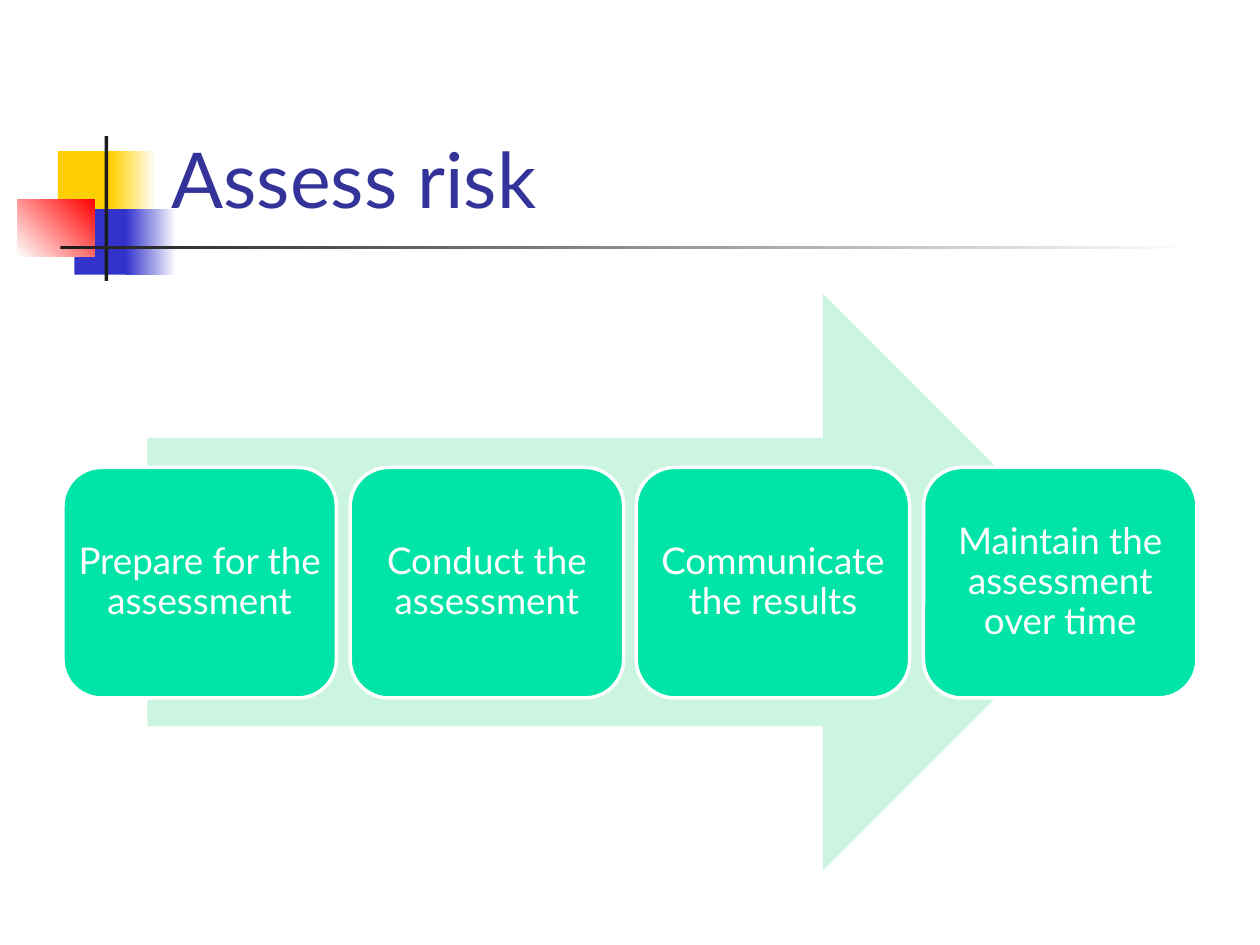
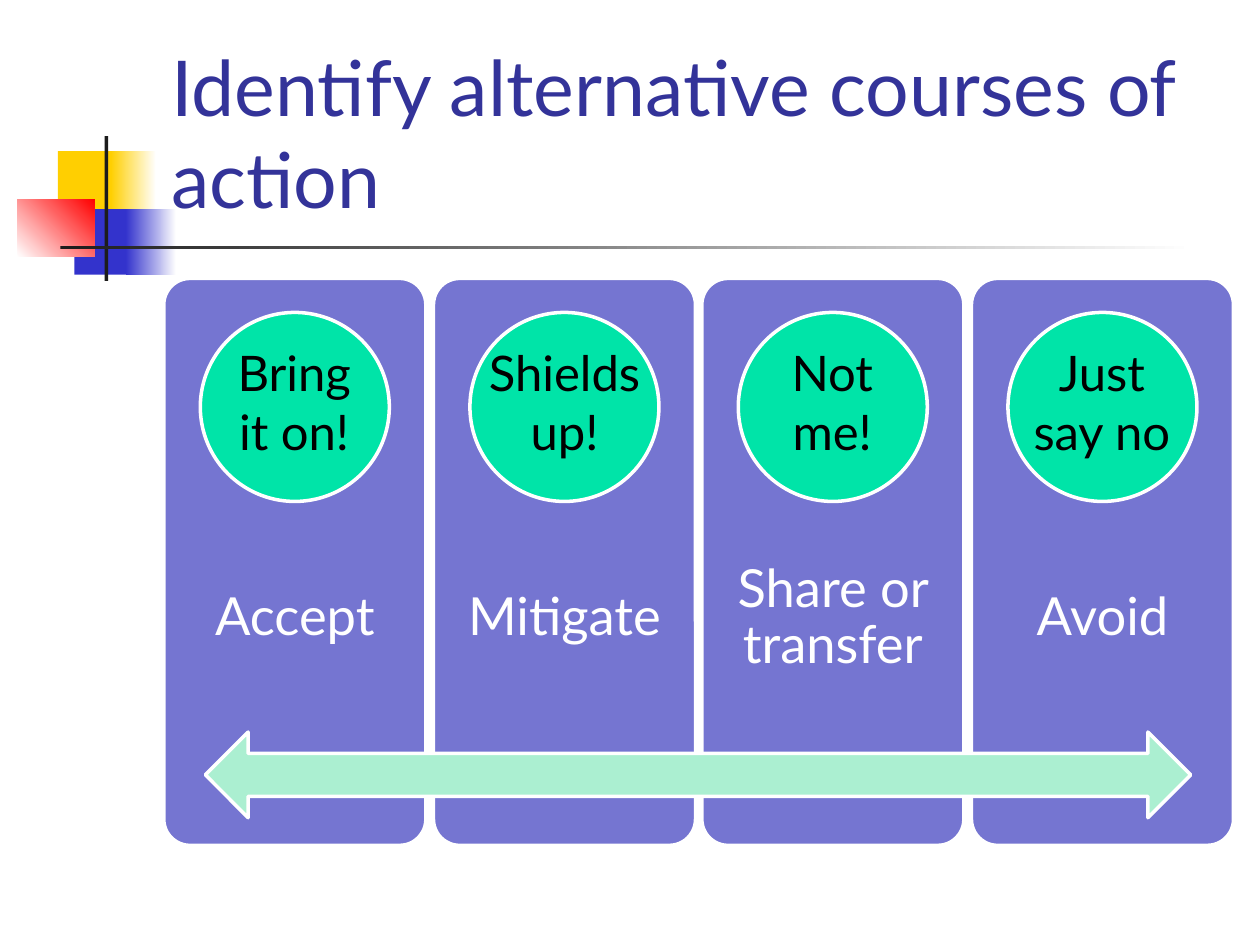
from pptx import Presentation
from pptx.dml.color import RGBColor
from pptx.enum.shapes import MSO_SHAPE as SHAPE
from pptx.enum.text import MSO_ANCHOR as ANCHOR, MSO_AUTO_SIZE as AUTO, PP_ALIGN as ALIGN
from pptx.util import Emu, Pt

SCALE = 9144
FONT = "Lato"
WHITE, BLACK, INK = "FFFFFF", "000000", "1C1C1C"
YELLOW, BLUE, RED = "FFCF01", "3333CC", "FF0000"
NAVY, VIOLET, GREEN = "333399", "7575D1", "00E4A8"
PALE_GREEN, SOFT_GREEN = "CCF5E1", "ABEFD1"

ORNAMENT = [
    ((46, 120, 48, 52), YELLOW),
    ((88, 120, 36, 52), (YELLOW, WHITE, 0)),
    ((59, 166, 46, 52), BLUE),
    ((100, 166, 40, 52), (BLUE, WHITE, 0)),
    ((14, 158, 61, 46), (WHITE, RED, 45)),
    ((83, 108, 3, 115), INK),
    ((48, 195, 900, 3), (INK, WHITE, 0)),
]
STEPS = [
    "Prepare for the assessment",
    "Conduct the assessment",
    "Communicate the results",
    "Maintain the assessment over time",
]
OPTIONS = [
    ("Accept", "Bring it on!", 133),
    ("Mitigate", "Shields up!", 142),
    ("Share or transfer", "Not me!", 133),
    ("Avoid", "Just say no", 133),
]


def px(n):
    return Emu(n * SCALE)


def color(value):
    return RGBColor.from_string(value)


def columns(first, last, count):
    return [first + round(i * (last - first) / (count - 1)) for i in range(count)]


def paint(sp, fill):
    if isinstance(fill, str):
        sp.fill.solid()
        sp.fill.fore_color.rgb = color(fill)
        return
    *ends, angle = fill
    sp.fill.gradient()
    sp.fill.gradient_angle = angle
    for stop, value in zip(sp.fill.gradient_stops, ends):
        stop.color.rgb = color(value)


def add_box(slide, kind, at, fill, outlined=False):
    sp = slide.shapes.add_shape(kind, *map(px, at))
    sp.shadow.inherit = False
    paint(sp, fill)
    if outlined:
        sp.line.color.rgb = color(WHITE)
        sp.line.width = Pt(2)
    else:
        sp.line.fill.background()
    return sp


def write(sp, text, size, ink, align=ALIGN.CENTER, anchor=ANCHOR.MIDDLE, inset=None, spacing=None):
    tf = sp.text_frame
    frame = {"word_wrap": True, "auto_size": AUTO.NONE, "vertical_anchor": anchor}
    if inset is not None:
        for side in ("left", "top", "right", "bottom"):
            frame[f"margin_{side}"] = px(inset)
    for name, value in frame.items():
        setattr(tf, name, value)
    p = tf.paragraphs[0]
    p.alignment = align
    p.line_spacing = spacing
    r = p.add_run()
    r.text = text
    for name, value in {"name": FONT, "size": Pt(size), "bold": False}.items():
        setattr(r.font, name, value)
    r.font.color.rgb = color(ink)


def add_label(slide, at, text, size, ink, **fmt):
    write(slide.shapes.add_textbox(*map(px, at)), text, size, ink, **fmt)


def add_titled_slide(prs, layout, title):
    slide = prs.slides.add_slide(layout)
    sp = slide.shapes.title
    for name, n in {"left": 126, "top": 23, "width": 852, "height": 160}.items():
        setattr(sp, name, px(n))
    write(sp, title, 44, NAVY, align=ALIGN.LEFT, anchor=ANCHOR.BOTTOM)
    return slide


def decorate(layout, slide):
    for ph in list(layout.placeholders)[1:]:
        layout.shapes.element.remove(ph.element)
    for sp in [add_box(slide, SHAPE.RECTANGLE, at, fill) for at, fill in ORNAMENT]:
        layout.shapes.element.append(sp.element)


def add_steps(slide):
    add_box(slide, SHAPE.RIGHT_ARROW, (117, 233, 765, 458), PALE_GREEN)
    for left, step in zip(columns(50, 733, len(STEPS)), STEPS):
        sp = add_box(slide, SHAPE.ROUNDED_RECTANGLE, (left, 371, 217, 183), GREEN, True)
        write(sp, step, 21, WHITE, inset=0, spacing=0.9)


def add_options(slide):
    card_w, circle = 208, 150
    for left, (action, motto, width) in zip(columns(130, 771, len(OPTIONS)), OPTIONS):
        card = add_box(slide, SHAPE.ROUNDED_RECTANGLE, (left, 221, card_w, 450), VIOLET, True)
        card.adjustments[0] = 0.1
        add_label(slide, (left, 401, card_w, 180), action, 30, WHITE, inset=23, spacing=0.9)
        add_box(slide, SHAPE.OVAL, (left + (card_w - circle) // 2, 248, circle, circle), GREEN, True)
        add_label(slide, (left + (card_w - width) // 2, 267, width, 104), motto, 28, BLACK,
                  anchor=ANCHOR.TOP)
    add_box(slide, SHAPE.LEFT_RIGHT_ARROW, (163, 581, 782, 68), SOFT_GREEN, True)


def main():
    prs = Presentation()
    prs.slide_width, prs.slide_height = px(1000), px(750)
    layout = prs.slide_layouts[5]
    assess = add_titled_slide(prs, layout, "Assess risk")
    decorate(layout, assess)
    add_steps(assess)
    add_options(add_titled_slide(prs, layout, "Identify alternative courses of action"))
    prs.save("out.pptx")


if __name__ == "__main__":
    main()
